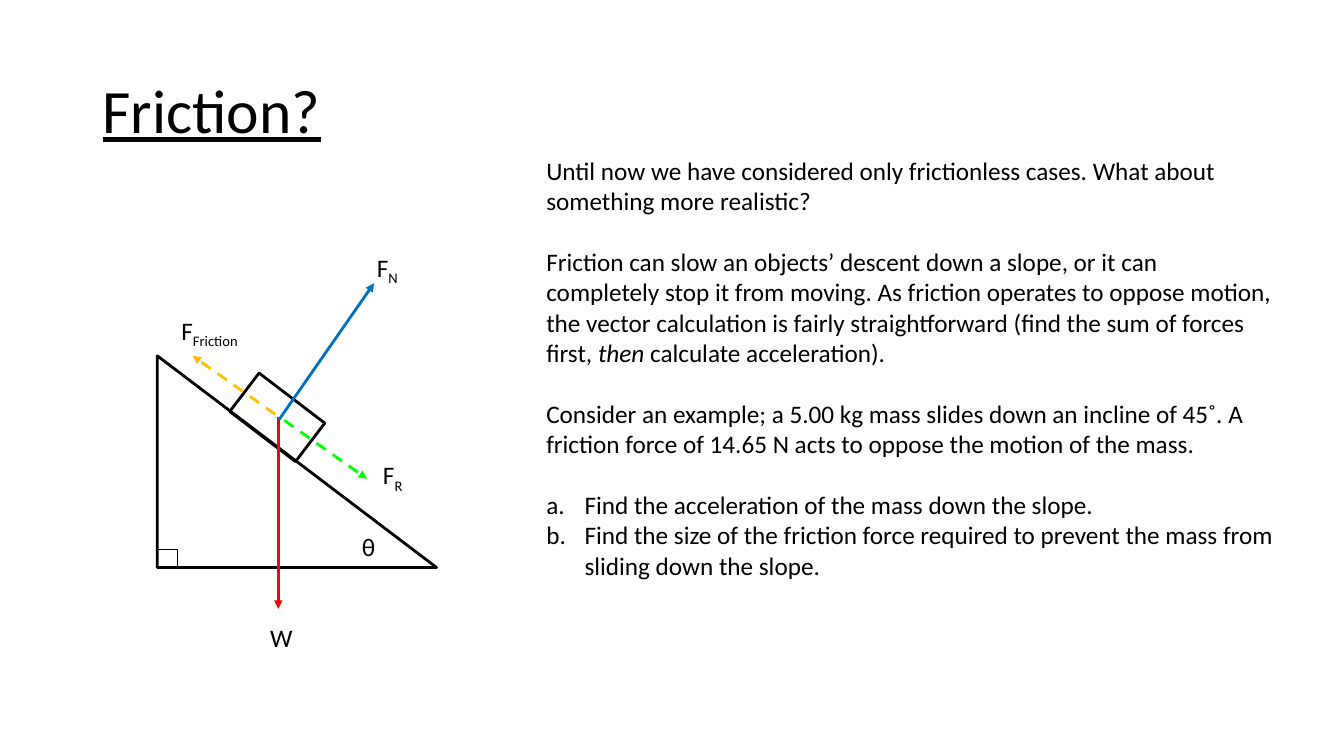
from dataclasses import dataclass

from lxml import etree
from pptx import Presentation
from pptx.dml.color import RGBColor
from pptx.enum.dml import MSO_LINE
from pptx.enum.shapes import MSO_CONNECTOR, MSO_SHAPE
from pptx.enum.text import MSO_ANCHOR
from pptx.oxml.ns import qn
from pptx.util import Inches, Pt

TRIANGLE = MSO_SHAPE.RIGHT_TRIANGLE
RECTANGLE = MSO_SHAPE.RECTANGLE
STRAIGHT = MSO_CONNECTOR.STRAIGHT
DASH = MSO_LINE.DASH
MIDDLE = MSO_ANCHOR.MIDDLE
TOP = MSO_ANCHOR.TOP


@dataclass(frozen=True)
class Theme:
    font: str = "Calibri"
    ink: str = "000000"
    weight: str = "FF0000"
    normal: str = "0070C0"
    resultant: str = "00FF00"
    friction: str = "FFC000"
    title_size: int = 44
    body_size: int = 18
    paragraph_gap: int = 22
    force_width: int = 2


THEME = Theme()

EXPLANATION = [
    [("Until now we have considered only frictionless cases. "
      "What about something more realistic?", False)],
    [("Friction can slow an objects’ descent down a slope, or it can completely "
      "stop it from moving. As friction operates to oppose motion, the vector "
      "calculation is fairly straightforward (find the sum of forces first, ", False),
     ("then", True),
     (" calculate acceleration).", False)],
    [("Consider an example; a 5.00 kg mass slides down an incline of 45˚. "
      "A friction force of 14.65 N acts to oppose the motion of the mass.", False)],
]
QUESTIONS = [
    "Find the acceleration of the mass down the slope.",
    "Find the size of the friction force required to prevent the mass "
    "from sliding down the slope.",
]


def add_text_frame(slide, left, top, width, height, anchor=TOP):
    box = slide.shapes.add_textbox(
        Inches(left), Inches(top), Inches(width), Inches(height))
    frame = box.text_frame
    frame.word_wrap = True
    frame.vertical_anchor = anchor
    return frame


def style_paragraph(paragraph, size=THEME.body_size):
    font = paragraph.font
    font.name = THEME.font
    font.size = Pt(size)
    font.color.rgb = RGBColor.from_string(THEME.ink)


def add_title(slide, text):
    frame = add_text_frame(slide, 0.92, 0.4, 11.5, 1.45, MIDDLE)
    title = frame.paragraphs[0]
    title.text = text
    title.line_spacing = 0.9
    style_paragraph(title, THEME.title_size)
    title.font.underline = True


def add_label(slide, left, top, width, symbol, subscript=""):
    label = add_text_frame(slide, left, top, width, 0.4).paragraphs[0]
    label.add_run().text = symbol
    if subscript:
        lowered = label.add_run()
        lowered.text = subscript
        lowered._r.get_or_add_rPr().set("baseline", "-25000")
    style_paragraph(label)


def add_outline(slide, kind, left, top, width, height, line_width=2, rotation=0):
    shape = slide.shapes.add_shape(
        kind, Inches(left), Inches(top), Inches(width), Inches(height))
    shape.shadow.inherit = False
    shape.fill.background()
    shape.line.color.rgb = RGBColor.from_string(THEME.ink)
    shape.line.width = Pt(line_width)
    shape.rotation = rotation


def add_force(slide, start, tip, color, dashed=False):
    """Draw an arrow from start to tip, both given as (x, y) in inches."""
    arrow = slide.shapes.add_connector(
        STRAIGHT, *(Inches(value) for value in (*start, *tip)))
    arrow.line.color.rgb = RGBColor.from_string(color)
    arrow.line.width = Pt(THEME.force_width)
    if dashed:
        arrow.line.dash_style = DASH
    etree.SubElement(arrow.line._get_or_add_ln(), qn("a:tailEnd"), type="triangle")
    etree.SubElement(arrow._element.spPr, qn("a:effectLst"))


def set_letter_bullet(paragraph):
    properties = paragraph._p.get_or_add_pPr()
    indent = Inches(0.38)
    properties.set("marL", str(indent))
    properties.set("indent", str(-indent))
    etree.SubElement(properties, qn("a:buFont"), typeface="+mj-lt")
    etree.SubElement(properties, qn("a:buAutoNum"), type="alphaLcPeriod")


def add_explanation(slide):
    frame = add_text_frame(slide, 5.32, 1.49, 7.43, 4.34)
    contents = EXPLANATION + [[(question, False)] for question in QUESTIONS]
    for index, runs in enumerate(contents):
        paragraph = frame.add_paragraph() if index else frame.paragraphs[0]
        if 0 < index <= len(EXPLANATION):
            paragraph.space_before = Pt(THEME.paragraph_gap)
        if index >= len(EXPLANATION):
            set_letter_bullet(paragraph)
        for text, emphasised in runs:
            run = paragraph.add_run()
            run.text = text
            if emphasised:
                run.font.italic = True
        style_paragraph(paragraph)


def add_force_diagram(slide):
    add_outline(slide, TRIANGLE, 1.56, 3.53, 2.77, 2.1)
    add_outline(slide, RECTANGLE, 2.34, 3.9, 0.82, 0.48, rotation=37.3)
    add_outline(slide, RECTANGLE, 1.56, 5.45, 0.2, 0.19, line_width=1)

    add_force(slide, (2.76, 4.14), (2.76, 6.04), THEME.weight)
    add_force(slide, (2.77, 4.16), (3.71, 2.81), THEME.normal)
    add_force(slide, (2.82, 4.17), (3.64, 4.75), THEME.resultant, dashed=True)
    add_force(slide, (2.73, 4.11), (1.91, 3.53), THEME.friction, dashed=True)

    add_label(slide, 3.64, 2.45, 0.54, "F", "N")
    add_label(slide, 2.58, 6.12, 0.54, "W")
    add_label(slide, 3.7, 4.51, 0.54, "F", "R")
    add_label(slide, 3.49, 5.22, 0.39, "θ")
    add_label(slide, 1.7, 3.08, 0.88, "F", "Friction")


def main():
    presentation = Presentation()
    presentation.slide_width = Inches(13.33)
    presentation.slide_height = Inches(7.5)
    slide = presentation.slides.add_slide(presentation.slide_layouts[6])
    add_title(slide, "Friction?")
    add_force_diagram(slide)
    add_explanation(slide)
    presentation.save("out.pptx")


if __name__ == "__main__":
    main()
